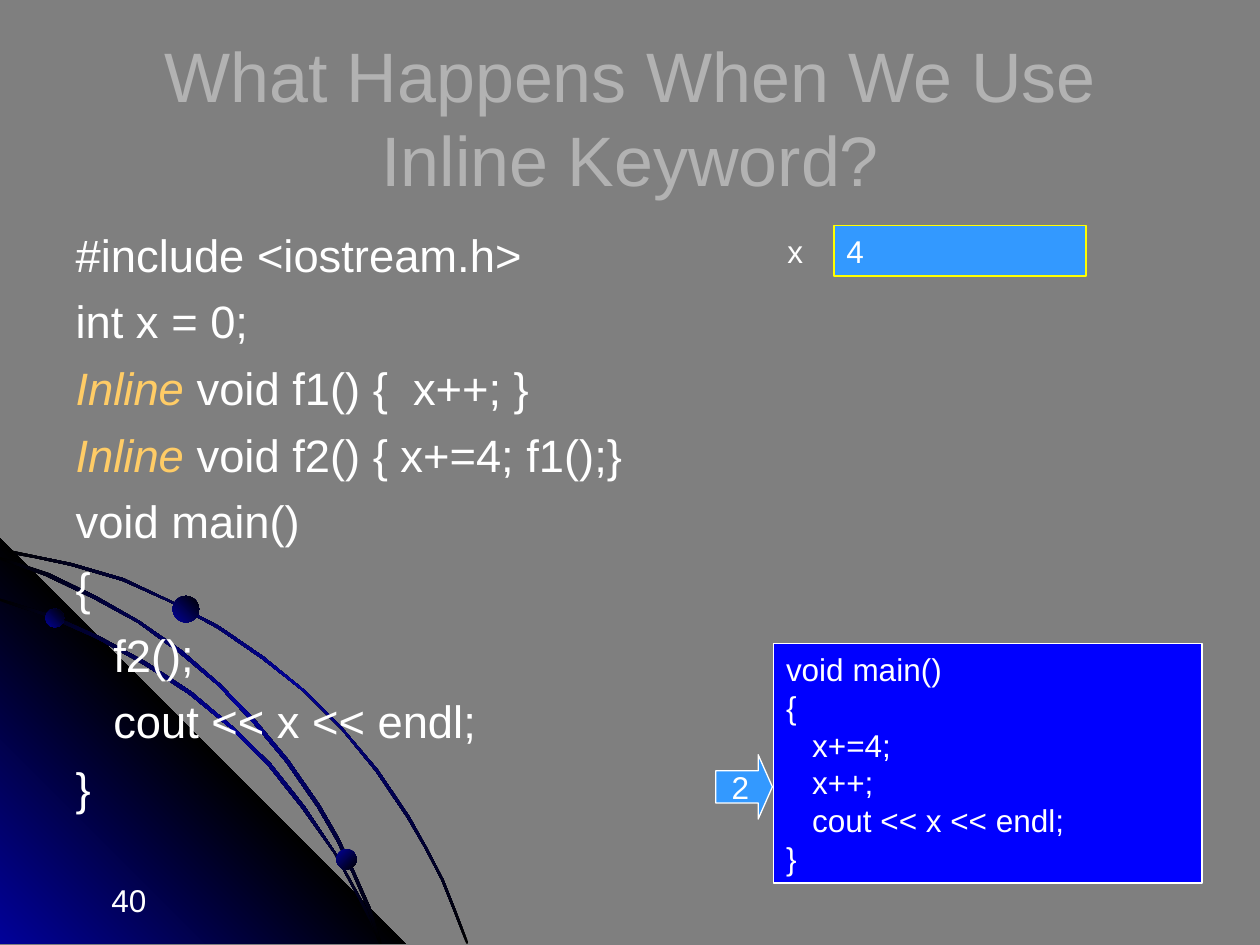
from copy import deepcopy

from lxml import etree
from pptx import Presentation
from pptx.dml.color import RGBColor
from pptx.enum.shapes import MSO_SHAPE
from pptx.enum.text import MSO_ANCHOR, MSO_AUTO_SIZE, PP_ALIGN
from pptx.oxml.ns import qn
from pptx.util import Inches, Pt

RECTANGLE, OVAL, ARROW = MSO_SHAPE.RECTANGLE, MSO_SHAPE.OVAL, MSO_SHAPE.RIGHT_ARROW
LEFT, CENTER, RIGHT = PP_ALIGN.LEFT, PP_ALIGN.CENTER, PP_ALIGN.RIGHT
TOP, MIDDLE = MSO_ANCHOR.TOP, MSO_ANCHOR.MIDDLE
NO_AUTOFIT = MSO_AUTO_SIZE.NONE

GRAY = RGBColor(0x7F, 0x7F, 0x7F)
SILVER = RGBColor(0xB2, 0xB2, 0xB2)
WHITE = RGBColor(0xFF, 0xFF, 0xFF)
BLACK = RGBColor(0x00, 0x00, 0x00)
NAVY = RGBColor(0x01, 0x01, 0x99)
BLUE = RGBColor(0x00, 0x00, 0xFF)
SKY = RGBColor(0x33, 0x99, 0xFF)
YELLOW = RGBColor(0xFF, 0xFF, 0x00)
AMBER = RGBColor(0xFF, 0xCC, 0x66)

FONT = "Arial"
CODE_SIZE = 25.9
KEYWORD = "Inline"
CODE = [
    "#include <iostream.h>",
    "int x = 0;",
    "Inline void f1() {  x++; }",
    "Inline void f2() { x+=4; f1();}",
    "void main()",
    "{",
    "   f2();",
    "   cout << x << endl;",
    "}",
]
EXPANDED_MAIN = ["void main()", "{", "   x+=4;", "   x++;", "   cout << x << endl;", "}"]

# Outlines of the corner ornament, in inches on the slide
TRIANGLE = [(3.22, 7.49), (0, 7.49), (0, 4.27)]
OUTER_ARC = [
    (0.57, 4.47), (0.28, 4.41), (0, 4.35), (0, 4.38), (0.28, 4.43), (0.56, 4.49),
    (0.97, 4.61), (1.35, 4.78), (1.73, 4.99), (2.08, 5.23), (2.41, 5.49), (2.71, 5.79),
    (2.98, 6.12), (3.23, 6.49), (3.37, 6.73), (3.5, 6.98), (3.6, 7.23), (3.7, 7.49),
    (3.72, 7.49), (3.62, 7.23), (3.52, 6.98), (3.39, 6.73), (3.25, 6.48), (3, 6.11),
    (2.72, 5.78), (2.42, 5.48), (2.09, 5.21), (1.74, 4.97), (1.36, 4.77), (0.98, 4.59),
]
INNER_ARC = [
    (2.85, 7.14), (2.94, 7.32), (3.01, 7.49), (3.03, 7.49), (2.96, 7.3), (2.86, 7.12),
    (2.66, 6.76), (2.42, 6.4), (2.15, 6.06), (1.84, 5.76), (1.52, 5.49), (1.17, 5.26),
    (0.79, 5.05), (0.41, 4.88), (0, 4.75), (0, 4.77), (0.39, 4.9), (0.77, 5.07),
    (1.15, 5.28), (1.5, 5.51), (1.83, 5.78), (2.13, 6.08), (2.4, 6.42), (2.65, 6.77),
]
MIDDLE_ARC = [
    (0, 4.42), (0, 4.44), (0.36, 4.57), (0.74, 4.75), (1.09, 4.94), (1.42, 5.18),
    (1.73, 5.44), (2.02, 5.75), (2.27, 6.05), (2.52, 6.41), (2.67, 6.67), (2.8, 6.94),
    (2.92, 7.22), (3.01, 7.49), (3.03, 7.49), (2.94, 7.2), (2.82, 6.93), (2.69, 6.65),
    (2.54, 6.39), (2.29, 6.03), (2.04, 5.73), (1.75, 5.43), (1.44, 5.16), (1.11, 4.93),
    (0.76, 4.73), (0.39, 4.55),
]
ARC_COLORS = [BLACK, NAVY, BLACK]
OUTLINES = [
    (OUTER_ARC, ARC_COLORS, 315),
    (TRIANGLE, [NAVY, BLACK, NAVY], 45),
    (INNER_ARC, ARC_COLORS, 315),
    (MIDDLE_ARC, ARC_COLORS, 315),
]
# left, top, diameter, gradient angle
BEADS = [(0.36, 4.83, 0.15, 45), (2.67, 6.74, 0.16, 315), (1.37, 4.73, 0.21, 45)]


def inches(*lengths):
    return [Inches(length) for length in lengths]


def place(shape, box):
    shape.left, shape.top, shape.width, shape.height = inches(*box)


def fill_gradient(shape, colors, angle):
    """Spread the colours evenly along the (counter-clockwise) angle."""
    shape.shadow.inherit = False
    shape.line.fill.background()
    shape.fill.gradient()
    shape.fill.gradient_angle = angle
    stop_list = shape.fill._fill._gradFill.find(qn("a:gsLst"))
    for _ in colors[2:]:
        stop_list.append(deepcopy(stop_list[-1]))
    for index, stop in enumerate(shape.fill.gradient_stops):
        stop.position = index / (len(colors) - 1)
        stop.color.rgb = colors[index]


def set_text(shape, lines, size, color=WHITE, align=LEFT, anchor=TOP, wrap=True):
    frame = shape.text_frame
    frame.text = "\n".join(lines)
    frame.auto_size = NO_AUTOFIT
    frame.word_wrap = wrap
    frame.vertical_anchor = anchor
    for paragraph in frame.paragraphs:
        paragraph.alignment = align
        paragraph.space_before = Pt(0)
        for run in paragraph.runs:
            format_run(run, size, color)


def format_run(run, size, color, italic=False):
    run.font.name = FONT
    run.font.size = Pt(size)
    run.font.color.rgb = color
    run.font.italic = italic


def add_label(slide, box, text, align=LEFT):
    label = slide.shapes.add_textbox(*inches(*box))
    set_text(label, [text], 18, align=align)


def add_panel(slide, kind, box, lines, fill, outline, **text_options):
    panel = slide.shapes.add_shape(kind, *inches(*box))
    panel.shadow.inherit = False
    panel.fill.solid()
    panel.fill.fore_color.rgb = fill
    panel.line.color.rgb = outline
    panel.line.width = Pt(0.75)
    set_text(panel, lines, 18, **text_options)
    return panel


def add_ornament(slide):
    group = slide.shapes.add_group_shape()
    for outline, colors, angle in OUTLINES:
        # The builder rounds to whole units, so points are given in EMU
        start, *others = [inches(*point) for point in outline]
        builder = group.shapes.build_freeform(*start)
        builder.add_line_segments(others, close=True)
        fill_gradient(builder.convert_to_shape(), colors, angle)
    for left, top, diameter, angle in BEADS:
        bead = group.shapes.add_shape(OVAL, *inches(left, top, diameter, diameter))
        fill_gradient(bead, [NAVY, BLACK], angle)
    # Behind the placeholders
    slide.shapes._spTree.insert(2, group._element)


def fill_title(slide, box):
    title = slide.shapes.title
    place(title, box)
    set_text(title, ["What Happens When We Use Inline Keyword?"], 40, SILVER, CENTER, MIDDLE)


def fill_code(slide, box):
    body = slide.placeholders[1]
    place(body, box)
    set_text(body, CODE, CODE_SIZE)
    for index, paragraph in enumerate(body.text_frame.paragraphs):
        paragraph.space_before = Pt(7 if index else 0)
        properties = paragraph._p.get_or_add_pPr()
        properties.set("marL", str(Inches(0.38)))
        properties.set("indent", str(Inches(-0.38)))
        etree.SubElement(properties, qn("a:buNone"))
        if paragraph.text.startswith(KEYWORD):
            rest = paragraph.text[len(KEYWORD):]
            paragraph.runs[0].text = KEYWORD
            format_run(paragraph.runs[0], CODE_SIZE, AMBER, italic=True)
            run = paragraph.add_run()
            run.text = rest
            format_run(run, CODE_SIZE, WHITE)


def add_variable(slide, left, top):
    add_panel(slide, RECTANGLE, (left + 0.47, top, 2, 0.4), ["4"], SKY, YELLOW)
    add_label(slide, (left, top, 0.36, 0.4), "x")


def add_expansion(slide, box):
    left, top = box[:2]
    add_panel(slide, RECTANGLE, box, EXPANDED_MAIN, BLUE, WHITE)
    # Step marker pointing at the current line
    arrow = add_panel(slide, ARROW, (left - 0.46, top + 0.88, 0.45, 0.51), ["2"],
                      SKY, WHITE, align=CENTER, anchor=MIDDLE, wrap=False)
    arrow.adjustments[0] = 0.5
    arrow.adjustments[1] = 0.25


def main():
    presentation = Presentation()
    presentation.slide_width, presentation.slide_height = inches(10, 7.5)
    slide = presentation.slides.add_slide(presentation.slide_layouts[1])
    slide.background.fill.solid()
    slide.background.fill.fore_color.rgb = GRAY
    add_ornament(slide)
    add_label(slide, (0.56, 6.94, 0.7, 0.39), "40", RIGHT)
    fill_title(slide, (0.5, 0.3, 9, 1.25))
    fill_code(slide, (0.5, 1.75, 5.01, 4.95))
    add_variable(slide, 6.15, 1.79)
    add_expansion(slide, (6.14, 5.11, 3.4, 1.9))
    presentation.save("out.pptx")


if __name__ == "__main__":
    main()
